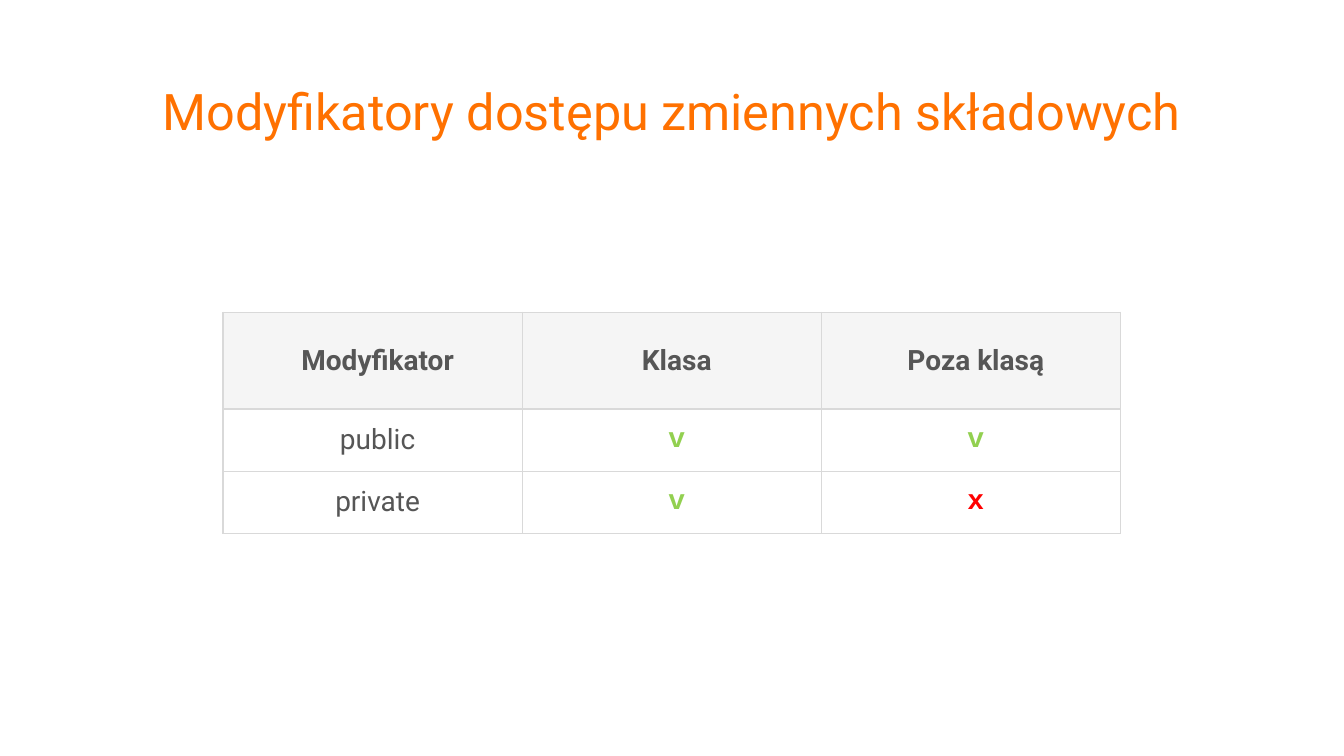
from dataclasses import dataclass

from lxml import etree
from pptx import Presentation
from pptx.dml.color import RGBColor
from pptx.enum.text import MSO_ANCHOR, PP_ALIGN
from pptx.oxml.ns import qn
from pptx.util import Pt

CENTER = PP_ALIGN.CENTER
MIDDLE = MSO_ANCHOR.MIDDLE
BLANK_LAYOUT = 6


@dataclass(frozen=True)
class Theme:
    font: str = "Roboto"
    mark_font: str = "Courier New"
    title_size: float = 36
    table_size: float = 20
    title: str = "FF7100"
    text: str = "565656"
    allowed: str = "92D050"
    denied: str = "FF0000"
    header_fill: str = "F5F5F5"
    body_fill: str = "FFFFFF"
    border: str = "D9D9D9"


THEME = Theme()

TITLE = "Modyfikatory dostępu zmiennych składowych"
ACCESS_ROWS = [
    ["Modyfikator", "Klasa", "Poza klasą"],
    ["public", "v", "v"],
    ["private", "v", "x"],
]
MARK_COLORS = {"v": THEME.allowed, "x": THEME.denied}


def write_text(frame, text, *, size, color, font=THEME.font, bold=False, line_spacing=1.0):
    para = frame.paragraphs[0]
    para.alignment = CENTER
    para.line_spacing = line_spacing
    span = para.add_run()
    span.text = text
    span.font.name = font
    span.font.size = Pt(size)
    span.font.bold = bold
    span.font.color.rgb = RGBColor.from_string(color)


def add_title(page, text, left, top, width, height):
    box = page.shapes.add_textbox(Pt(left), Pt(top), Pt(width), Pt(height))
    box.text_frame.word_wrap = True
    box.text_frame.vertical_anchor = MIDDLE
    write_text(box.text_frame, text, size=THEME.title_size, color=THEME.title, line_spacing=0.9)


def set_borders(cell, color, width):
    properties = cell._tc.get_or_add_tcPr()
    for position, side in enumerate(("a:lnL", "a:lnR", "a:lnT", "a:lnB")):
        line = etree.Element(qn(side), w=str(Pt(width)))
        fill = etree.SubElement(line, qn("a:solidFill"))
        etree.SubElement(fill, qn("a:srgbClr"), val=color)
        properties.insert(position, line)


def format_cell(cell, text, is_header):
    cell.margin_left, cell.margin_right = Pt(14.4), Pt(7.2)
    cell.margin_top = cell.margin_bottom = Pt(3.6)
    cell.vertical_anchor = MIDDLE
    cell.fill.solid()
    fill_color = THEME.header_fill if is_header else THEME.body_fill
    cell.fill.fore_color.rgb = RGBColor.from_string(fill_color)
    set_borders(cell, THEME.border, 1)
    is_mark = text in MARK_COLORS
    write_text(
        cell.text_frame,
        text,
        size=THEME.table_size,
        color=MARK_COLORS.get(text, THEME.text),
        font=THEME.mark_font if is_mark else THEME.font,
        bold=is_header or is_mark,
    )


def add_access_table(page, rows, left, top, width, height, header_height):
    columns = len(rows[0])
    frame = page.shapes.add_table(len(rows), columns, Pt(left), Pt(top), Pt(width), Pt(height))
    table = frame.table
    body_height = (height - header_height) / (len(rows) - 1)
    for column in table.columns:
        column.width = Pt(width / columns)
    for row_index, texts in enumerate(rows):
        is_header = row_index == 0
        table.rows[row_index].height = Pt(header_height if is_header else body_height)
        for column_index, text in enumerate(texts):
            format_cell(table.cell(row_index, column_index), text, is_header)


def main():
    deck = Presentation()
    deck.slide_width, deck.slide_height = Pt(960), Pt(540)
    page = deck.slides.add_slide(deck.slide_layouts[BLANK_LAYOUT])
    add_title(page, TITLE, 66, 50.4, 828, 62.6)
    add_access_table(page, ACCESS_ROWS, 159.3, 223, 641, 158, header_height=69.2)
    deck.save("out.pptx")


if __name__ == "__main__":
    main()
